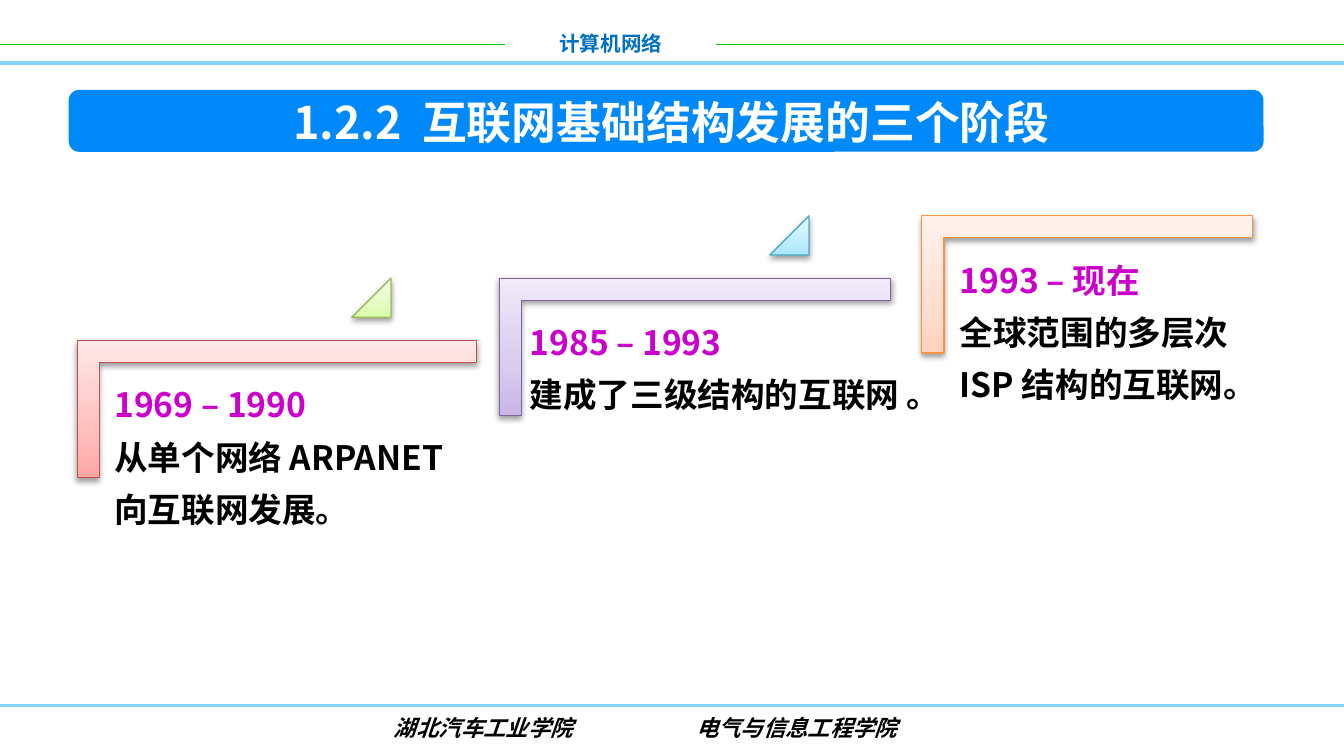
from pptx import Presentation
from pptx.dml.color import RGBColor
from pptx.enum.shapes import MSO_CONNECTOR, MSO_SHAPE
from pptx.enum.text import MSO_ANCHOR, PP_ALIGN
from pptx.oxml import parse_xml
from pptx.oxml.ns import nsdecls
from pptx.util import Cm, Pt
from lxml.etree import SubElement

HEADER = "计算机网络"
TITLE = "1.2.2  互联网基础结构发展的三个阶段"
FOOTERS = [("湖北汽车工业学院", 9.14), ("电气与信息工程学院", 15.06)]
STAGES = [
    dict(period="1969 – 1990", body="从单个网络 ARPANET 向互联网发展。",
         colors="red", width=7.54, text_x=1.98, text_w=6.91),
    dict(period="1985 – 1993", body="建成了三级结构的互联网 。",
         colors="purple", width=7.39, text_x=9.83, text_w=7.77),
    dict(period="1993 – 现在", body="全球范围的多层次 ISP 结构的互联网。",
         colors="orange", width=6.25, text_x=17.96, text_w=5.59),
]
STEPS = [("green", 6.65), ("blue", 14.55)]
RULES = [(0, 9.55, 0.84, "rule", 1), (13.54, 25.4, 0.84, "rule", 1),
         (0, 25.4, 13.34, "band", 1.5), (0, 25.4, 1.19, "band", 2)]

THEME = dict(
    font="Noto Sans CJK SC", footer_font="Arial",
    header_size=11, footer_size=12, title_size=24, body_size=18,
    header="0070C0", rule="00CC00", band="85D1F7", bar="0089FA",
    title="FFFFFF", period="CC00CC", body="000000",
    red=("C0504D", "FFA6A5", "FFC0BF", "FFE7E7"),
    purple=("8064A2", "C9B5E8", "D8CBEE", "F0EAF9"),
    orange=("F79646", "FFD2BD", "FFDED0", "FFF2ED"),
    green=("9BBB59", "DAFDA7", "E4FCC2", "F5FFE7"),
    blue=("4BACC6", "A7E6FF", "C1EDFF", "E7F8FF"),
)
LEFT, TOP, PITCH, RISE = 1.46, 6.44, 7.98, 1.18
ARM, TRIANGLE, TEXT_DROP, TEXT_H = 2.59, 0.74, 0.42, 3.4

prs = Presentation()
prs.slide_width, prs.slide_height = Cm(25.4), Cm(14.29)
s = prs.slides.add_slide(prs.slide_layouts[6])


def add_rule(x1, x2, y, color, width):
    c = s.shapes.add_connector(MSO_CONNECTOR.STRAIGHT, Cm(x1), Cm(y), Cm(x2), Cm(y))
    c.line.color.rgb = RGBColor.from_string(THEME[color])
    c.line.width = Pt(width)
    c._element.spPr.append(parse_xml(f"<a:effectLst {nsdecls('a')}/>"))


def add_text(lines, x, y, w, h, size, font=THEME["font"], align=PP_ALIGN.CENTER,
             anchor=MSO_ANCHOR.TOP, inset=(0.25, 0.13), spacing=None, italic=None):
    tf = s.shapes.add_textbox(Cm(x), Cm(y), Cm(w), Cm(h)).text_frame
    tf.word_wrap = True
    tf.vertical_anchor = anchor
    tf.margin_left = tf.margin_right = Cm(inset[0])
    tf.margin_top = tf.margin_bottom = Cm(inset[1])
    for i, (text, color) in enumerate(lines):
        p = tf.add_paragraph() if i else tf.paragraphs[0]
        p.alignment = align
        if spacing:
            p.line_spacing = Pt(spacing)
        r = p.add_run()
        r.text = text
        r.font.size, r.font.bold, r.font.italic = Pt(size), True, italic
        r.font.color.rgb = RGBColor.from_string(THEME[color])
        r.font.name = font
        ea = SubElement(r._r.rPr, "{http://schemas.openxmlformats.org/drawingml/2006/main}ea")
        ea.set("typeface", THEME["font"])


def add_gradient_shape(kind, x, y, w, h, colors, adjustments, rotation=0):
    sp = s.shapes.add_shape(kind, Cm(x), Cm(y), Cm(w), Cm(h))
    sp.rotation = rotation
    for i, value in enumerate(adjustments):
        sp.adjustments[i] = value
    line, *stops = THEME[colors]
    gs = "".join(f'<a:gs pos="{pos}"><a:srgbClr val="{color}"/></a:gs>'
                 for pos, color in zip((0, 35000, 100000), stops))
    sp._element.spPr.insert(2, parse_xml(
        f'<a:gradFill {nsdecls("a")} rotWithShape="0"><a:gsLst>{gs}</a:gsLst>'
        '<a:lin ang="16200000" scaled="0"/></a:gradFill>'))
    sp.line.color.rgb = RGBColor.from_string(line)
    sp.line.width = Pt(0.75)
    sp._element.spPr.append(parse_xml(
        f'<a:effectLst {nsdecls("a")}><a:outerShdw blurRad="40000" dist="20000" '
        'dir="5400000" rotWithShape="0"><a:srgbClr val="000000"><a:alpha val="38000"/>'
        '</a:srgbClr></a:outerShdw></a:effectLst>'))


for rule in RULES:
    add_rule(*rule)
add_text([(HEADER, "header")], 9.55, 0.46, 3.99, 0.74, THEME["header_size"])
for text, center in FOOTERS:
    add_text([(text, "body")], center - 2.75, 13.36, 5.5, 0.76, THEME["footer_size"],
             font=THEME["footer_font"], italic=True)

bar = s.shapes.add_shape(MSO_SHAPE.ROUNDED_RECTANGLE, Cm(1.3), Cm(1.7), Cm(22.58), Cm(1.17))
bar.shadow.inherit = False
bar.fill.solid()
bar.fill.fore_color.rgb = RGBColor.from_string(THEME["bar"])
bar.line.fill.background()
add_text([(TITLE, "title")], 3.48, 1.78, 18.42, 1.02, THEME["title_size"],
         anchor=MSO_ANCHOR.MIDDLE)

for i, stage in enumerate(STAGES):
    x, y, w = LEFT + i * PITCH, TOP - i * RISE, stage["width"]
    add_gradient_shape(MSO_SHAPE.CORNER, x + (w - ARM) / 2, y + (ARM - w) / 2, ARM, w,
                       stage["colors"], (0.161, 0.161), rotation=90)
    add_text([(stage["period"], "period"), (stage["body"], "body")],
             stage["text_x"], y + TEXT_DROP, stage["text_w"], TEXT_H, THEME["body_size"],
             align=PP_ALIGN.LEFT, inset=(0.18, 0.18), spacing=28)
for i, (colors, x) in enumerate(STEPS, 1):
    add_gradient_shape(MSO_SHAPE.ISOSCELES_TRIANGLE, x, TOP - i * RISE, TRIANGLE, TRIANGLE,
                       colors, (1,))

prs.save("out.pptx")
